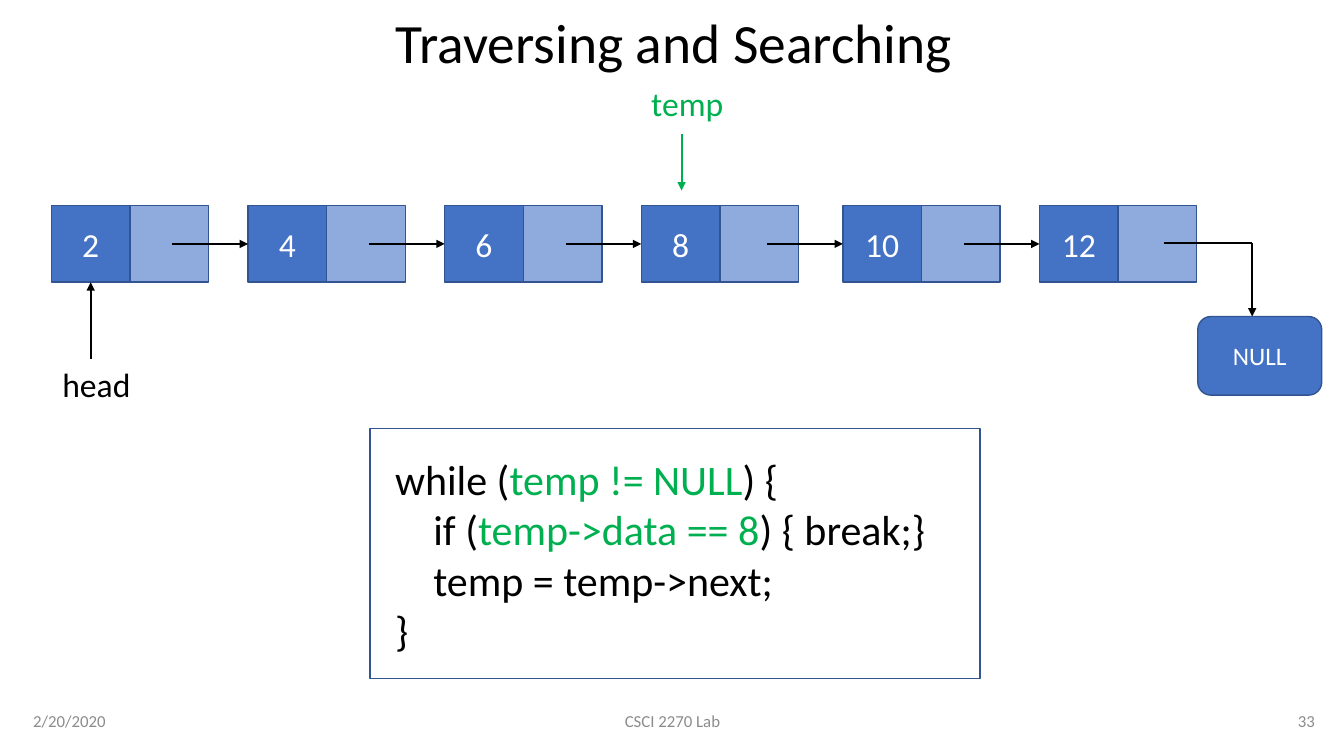
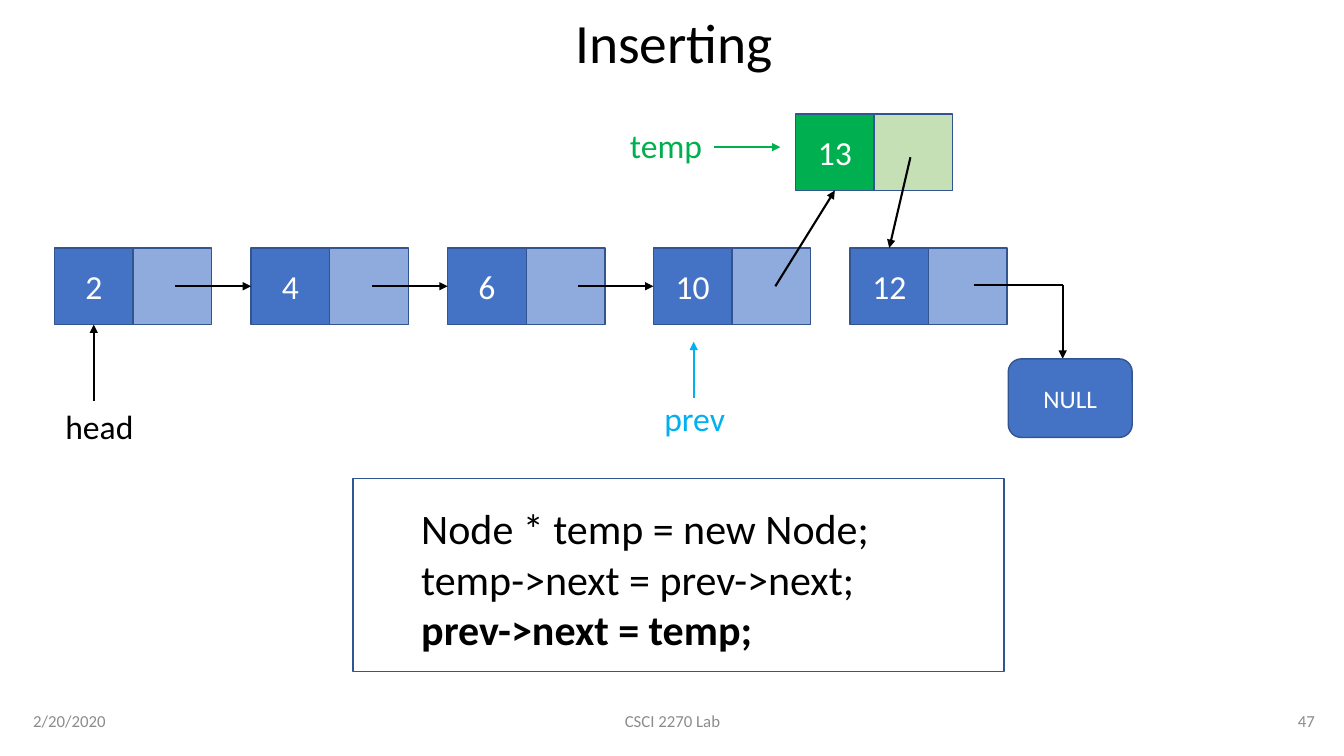
from lxml import etree
from pptx import Presentation
from pptx.dml.color import RGBColor
from pptx.enum.shapes import MSO_CONNECTOR, MSO_SHAPE
from pptx.enum.text import MSO_ANCHOR, PP_ALIGN
from pptx.oxml.ns import qn
from pptx.util import Pt

PX = 9144  # 100 px to the inch
PAGE_WIDTH, PAGE_HEIGHT = 1333, 750
FONT = "Calibri"
COLORS = {
    "black": "000000", "white": "FFFFFF", "grey": "8C8C8C", "outline": "325491",
    "data": "4472C4", "pointer": "8FAADC", "green": "00B050",
    "pale_green": "C5E0B4", "cyan": "00B0F0",
}
RECT, ROUNDED = MSO_SHAPE.RECTANGLE, MSO_SHAPE.ROUNDED_RECTANGLE
STRAIGHT = MSO_CONNECTOR.STRAIGHT
LEFT, CENTER, RIGHT = PP_ALIGN.LEFT, PP_ALIGN.CENTER, PP_ALIGN.RIGHT
TOP, MIDDLE = MSO_ANCHOR.TOP, MSO_ANCHOR.MIDDLE
TOP_SIDE, LEFT_SIDE, BOTTOM_SIDE = 0, 1, 2

CELL_WIDTH, CELL_HEIGHT = 78, 76
NODE_PITCH = 195
LINK_LENGTH = 75
CODE_INDENT = 38


def emu(*lengths):
    return [round(length * PX) for length in lengths]


def rgb(color):
    return RGBColor.from_string(COLORS[color])


def style_para(para, size, color, align):
    para.alignment = align
    para.font.name = FONT
    para.font.size = Pt(size)
    para.font.color.rgb = rgb(color)


def add_text(page, box, text, size, color="black", align=LEFT, anchor=TOP):
    label = page.shapes.add_textbox(*emu(*box))
    frame = label.text_frame
    frame.word_wrap = True
    frame.vertical_anchor = anchor
    para = frame.paragraphs[0]
    para.text = text
    style_para(para, size, color, align)
    return para


def add_box(page, box, fill=None, text="", size=24, shape=RECT):
    block = page.shapes.add_shape(shape, *emu(*box))
    block.shadow.inherit = False
    block.line.color.rgb = rgb("outline")
    block.line.width = Pt(1)
    if fill:
        block.fill.solid()
        block.fill.fore_color.rgb = rgb(fill)
    else:
        block.fill.background()
    if text:
        block.text_frame.vertical_anchor = MIDDLE
        para = block.text_frame.paragraphs[0]
        para.text = text
        style_para(para, size, "white", CENTER)
    return block


def add_line(page, start, end, color="black", arrow=True, target=None):
    """Draw a line; target is the (shape, side) that its end is joined to."""
    line = page.shapes.add_connector(STRAIGHT, *emu(*start, *end))
    line.line.color.rgb = rgb(color)
    line.line.width = Pt(1.5)
    if arrow:
        outline = line.line._get_or_add_ln()
        etree.SubElement(outline, qn("a:tailEnd"), type="triangle")
    etree.SubElement(line._element.spPr, qn("a:effectLst"))
    if target:
        line.end_connect(*target)


def add_node(page, left, top, value, data="data", pointer="pointer"):
    """Draw the two cells of a node and return the data cell."""
    cell = add_box(page, (left, top, CELL_WIDTH, CELL_HEIGHT), data, value)
    add_box(page, (left + CELL_WIDTH, top, CELL_WIDTH, CELL_HEIGHT), pointer)
    return cell


def add_null(page, left, top):
    """Draw the NULL box and the bent arrow from the node at left, top."""
    middle, corner, null_top = top + 37, left + 211, top + 110
    add_line(page, (left + 123, middle), (corner, middle), arrow=False)
    add_line(page, (corner, middle), (corner, null_top))
    add_box(page, (left + 157, null_top, 123, 78), "data", "NULL", 18, ROUNDED)


def add_head(page, left, top, cell):
    center, base = left + CELL_WIDTH // 2, top + 2 * CELL_HEIGHT
    add_line(page, (center, base), (center, top + CELL_HEIGHT),
             target=(cell, BOTTOM_SIDE))
    add_text(page, (left + 1, base, 89, 50), "head", 24)


def add_list(page, top, groups, unlinked=()):
    """Draw a linked list from (left, values) groups; return its data cells."""
    nodes = [(left + index * NODE_PITCH, value)
             for left, values in groups for index, value in enumerate(values)]
    cells = {value: add_node(page, left, top, value) for left, value in nodes}
    middle = top + CELL_HEIGHT // 2
    for left, value in nodes[1:]:
        if value not in unlinked:
            add_line(page, (left - LINK_LENGTH, middle), (left, middle),
                     target=(cells[value], LEFT_SIDE))
    add_null(page, nodes[-1][0], top)
    first_left, first_value = nodes[0]
    add_head(page, first_left, top, cells[first_value])
    return cells


def add_code(page, frame_box, text_box, lines):
    """Lines are (indent, bold, spans); spans are (text, color)."""
    add_box(page, frame_box)
    frame = page.shapes.add_textbox(*emu(*text_box)).text_frame
    frame.word_wrap = True
    for index, (indent, bold, spans) in enumerate(lines):
        para = frame.add_paragraph() if index else frame.paragraphs[0]
        style_para(para, 30, "black", LEFT)
        para.font.bold = bold
        if indent:
            para._p.get_or_add_pPr().set("marL", str(indent * PX))
        for text, color in spans:
            span = para.add_run()
            span.text = text
            if color != "black":
                span.font.color.rgb = rgb(color)


def add_page(deck, title, number):
    page = deck.slides.add_slide(deck.slide_layouts[6])
    heading = add_text(page, (23, 15, 1291, 60), title, 39.6,
                       align=CENTER, anchor=MIDDLE)
    heading.line_spacing = 0.9
    for left, width, text, align in ((23, 300, "2/20/2020", LEFT),
                                     (442, 450, "CSCI 2270 Lab", CENTER),
                                     (1014, 300, number, RIGHT)):
        add_text(page, (left, 695, width, 40), text, 12, "grey", align, MIDDLE)
    return page


def build_searching(deck):
    page = add_page(deck, "Traversing and Searching", "33")
    add_list(page, 204, [(51, ["2", "4", "6", "8"]), (836, ["10", "12"])])
    add_line(page, (676, 133), (676, 189), "green")
    add_text(page, (636, 77, 92, 50), "temp", 24, "green")
    add_code(page, (367, 425, 605, 248), (382, 445, 574, 212), [
        (0, False, [("while (", "black"), ("temp != NULL", "green"),
                    (") {", "black")]),
        (CODE_INDENT, False, [("if (", "black"), ("temp->data == 8", "green"),
                              (") { break;}", "black")]),
        (CODE_INDENT, False, [("temp = temp->next;", "black")]),
        (0, False, [("}", "black")]),
    ])


def build_inserting(deck):
    page = add_page(deck, "Inserting", "47")
    cells = add_list(page, 246, [(54, ["2", "4", "6"]), (648, ["10", "12"])],
                     unlinked=("12",))
    inserted = add_node(page, 789, 113, "13", "green", "pale_green")
    add_line(page, (769, 284), (828, 189), target=(inserted, BOTTOM_SIDE))
    add_line(page, (903, 156), (882, 246), target=(cells["12"], TOP_SIDE))
    add_line(page, (708, 146), (774, 146), "green")
    add_text(page, (615, 119, 106, 50), "temp", 24, "green")
    add_line(page, (688, 395), (688, 339), "cyan")
    add_text(page, (649, 390, 85, 50), "prev", 24, "cyan")
    add_code(page, (350, 475, 646, 191), (408, 494, 574, 162), [
        (0, False, [("Node * temp = new Node;", "black")]),
        (0, False, [("temp->next = prev->next;", "black")]),
        (0, True, [("prev->next = temp;", "black")]),
    ])


def main():
    deck = Presentation()
    deck.slide_width, deck.slide_height = emu(PAGE_WIDTH, PAGE_HEIGHT)
    build_searching(deck)
    build_inserting(deck)
    deck.save("out.pptx")


if __name__ == "__main__":
    main()
